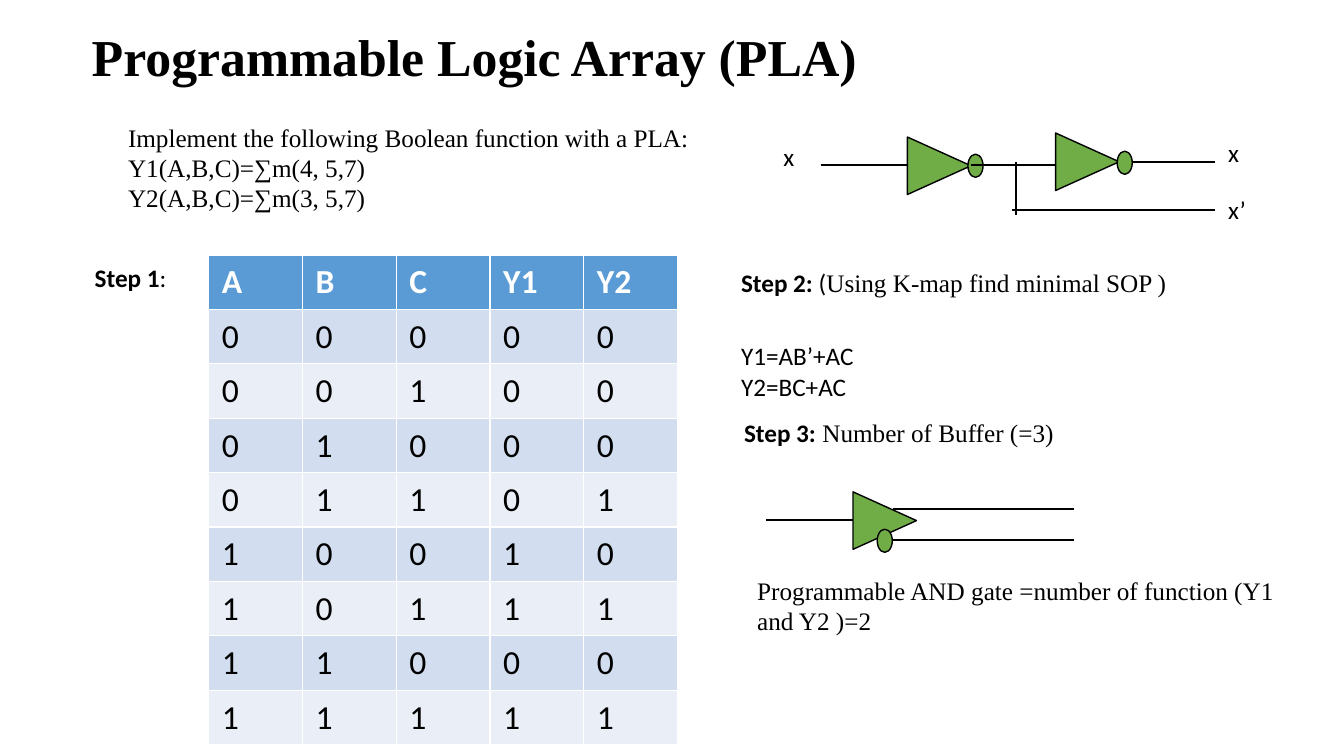
from dataclasses import dataclass

import pptx
import pptx.dml.color
import pptx.enum.shapes
import pptx.enum.text
import pptx.oxml.ns
import pptx.util
from lxml import etree

Inches = pptx.util.Inches
Shape = pptx.enum.shapes.MSO_SHAPE


@dataclass(frozen=True)
class Theme:
    serif: str = "Times New Roman"
    sans: str = "Calibri"
    ink: str = "000000"
    white: str = "FFFFFF"
    gate: str = "70AD47"
    header: str = "5B9BD5"
    bands: tuple = ("D2DEEF", "EAEFF7")
    title_size: int = 37
    body_size: int = 18
    table_size: int = 24
    outline: float = 1
    wire: float = 1.5
    inset_x: float = 0.13
    inset_y: float = 0.07


def rgb(value):
    return pptx.dml.color.RGBColor.from_string(value)


class Slide:
    def __init__(self, deck, theme):
        self.theme = theme
        self.page = deck.slides.add_slide(deck.slide_layouts[5])
        self.canvas = self.page.shapes

    def start_group(self):
        """Send the shapes that follow into a new group."""
        self.canvas = self.page.shapes.add_group_shape().shapes

    def end_group(self):
        self.canvas = self.page.shapes

    def set_font(self, font, name, size, colour, bold=False):
        font.name, font.size, font.bold = name, pptx.util.Pt(size), bold
        font.color.rgb = rgb(colour)

    def set_insets(self, holder):
        """Apply the common margins to a text frame or a table cell."""
        holder.margin_left = holder.margin_right = Inches(self.theme.inset_x)
        holder.margin_top = holder.margin_bottom = Inches(self.theme.inset_y)

    def title(self, text, left, top, width, height):
        box = self.page.shapes.title
        box.left, box.top = Inches(left), Inches(top)
        box.width, box.height = Inches(width), Inches(height)
        frame = box.text_frame
        frame.text = text
        frame.auto_size = pptx.enum.text.MSO_AUTO_SIZE.NONE
        frame.vertical_anchor = pptx.enum.text.MSO_ANCHOR.MIDDLE
        para = frame.paragraphs[0]
        para.alignment = pptx.enum.text.PP_ALIGN.LEFT
        self.set_font(para.font, self.theme.serif, self.theme.title_size, self.theme.ink, True)

    def text(self, lines, left, top, width, height, font=None, wrap=True):
        """Add a text box; each line is a string or a list of (text, font, bold) spans."""
        box = self.canvas.add_textbox(Inches(left), Inches(top), Inches(width), Inches(height))
        frame = box.text_frame
        frame.word_wrap = wrap
        frame.auto_size = pptx.enum.text.MSO_AUTO_SIZE.SHAPE_TO_FIT_TEXT
        self.set_insets(frame)
        for index, line in enumerate(lines):
            para = frame.add_paragraph() if index else frame.paragraphs[0]
            self.set_font(para.font, font or self.theme.sans, self.theme.body_size, self.theme.ink)
            if isinstance(line, str):
                para.text = line
                continue
            for text, name, bold in line:
                span = para.add_run()
                span.text, span.font.name, span.font.bold = text, name, bold

    def table(self, rows, left, top, width, height):
        theme = self.theme
        grid = self.canvas.add_table(len(rows), len(rows[0]), Inches(left), Inches(top),
                                     Inches(width), Inches(height)).table
        for row, values in enumerate(rows):
            fill = theme.bands[(row - 1) % 2] if row else theme.header
            colour = theme.ink if row else theme.white
            for column, value in enumerate(values):
                cell = grid.cell(row, column)
                cell.text = value
                cell.fill.solid()
                cell.fill.fore_color.rgb = rgb(fill)
                self.set_insets(cell)
                self.set_font(cell.text_frame.paragraphs[0].font, theme.sans,
                              theme.table_size, colour, row == 0)

    def gate_part(self, kind, left, top, width, height, rotation=0):
        part = self.canvas.add_shape(kind, Inches(left), Inches(top), Inches(width), Inches(height))
        part.rotation = rotation
        part.shadow.inherit = False
        part.fill.solid()
        part.fill.fore_color.rgb = rgb(self.theme.gate)
        part.line.color.rgb = rgb(self.theme.ink)
        part.line.width = pptx.util.Pt(self.theme.outline)

    def triangle(self, left, top):
        self.gate_part(Shape.ISOSCELES_TRIANGLE, left, top, 0.57, 0.63, rotation=90)

    def bubble(self, left, top):
        self.gate_part(Shape.OVAL, left, top, 0.15, 0.23)

    def wire(self, x1, y1, x2, y2):
        line = self.canvas.add_connector(pptx.enum.shapes.MSO_CONNECTOR.STRAIGHT,
                                         Inches(x1), Inches(y1), Inches(x2), Inches(y2))
        line.line.color.rgb = rgb(self.theme.ink)
        line.line.width = pptx.util.Pt(self.theme.wire)
        etree.SubElement(line._element.spPr, pptx.oxml.ns.qn("a:effectLst"))


def truth_table():
    """List A, B, C with the outputs Y1 = m(4, 5, 7) and Y2 = m(3, 5, 7)."""
    rows = [["A", "B", "C", "Y1", "Y2"]]
    for minterm in range(8):
        outputs = [str(int(minterm in terms)) for terms in ((4, 5, 7), (3, 5, 7))]
        rows.append(list(f"{minterm:03b}") + outputs)
    return rows


def main():
    theme = Theme()
    deck = pptx.Presentation()
    deck.slide_width, deck.slide_height = Inches(13.33), Inches(7.5)
    slide = Slide(deck, theme)
    serif, sans = theme.serif, theme.sans

    slide.title("Programmable Logic Array (PLA)", 0.81, 0.19, 11.86, 0.73)
    slide.text(["Implement the following Boolean function with a PLA:",
                "Y1(A,B,C)=∑m(4, 5,7)", "Y2(A,B,C)=∑m(3, 5,7)"],
               1.14, 1.14, 9.33, 1.06, font=serif)
    slide.text([[("Step 1", sans, True), (":", sans, False)]], 0.81, 2.53, 1.97, 0.45)
    slide.table(truth_table(), 2.07, 2.53, 4.65, 4.8)
    slide.text([[("Step 2:", sans, True), (" (", sans, False),
                 ("Using K-map find minimal SOP )", serif, False)]], 7.22, 2.58, 5.64, 0.45)
    slide.text(["Y1=AB’+AC", "Y2=BC+AC"], 7.22, 3.31, 3.2, 0.76)
    slide.text([[("Step 3:", sans, True), (" Number of Buffer (=3)", serif, False)]],
               7.25, 4.07, 3.43, 0.44, wrap=False)

    # Buffer symbol with true and complemented outputs
    slide.start_group()
    slide.triangle(8.49, 4.85)
    slide.bubble(8.7, 5.25)
    slide.wire(7.6, 5.16, 8.46, 5.16)
    slide.wire(8.85, 5.36, 10.65, 5.36)
    slide.wire(8.86, 5.05, 10.65, 5.05)
    slide.end_group()

    # Two inverters in series, tapped between them for x’
    slide.triangle(9.03, 1.33)
    slide.bubble(9.6, 1.53)
    slide.wire(8.14, 1.64, 9, 1.64)
    slide.wire(10.04, 2.08, 12.05, 2.08)
    slide.wire(9.63, 1.64, 10.53, 1.64)
    slide.triangle(10.5, 1.29)
    slide.wire(11.16, 1.61, 12.05, 1.61)
    slide.bubble(11.08, 1.5)
    slide.wire(10.08, 2.13, 10.08, 1.61)
    for label, left, top in (("x", 12.05, 1.29), ("x’", 12.05, 1.86), ("x", 7.64, 1.33)):
        slide.text([label], left, top, 0.5, 0.45)

    slide.text(["Programmable AND gate =number of function (Y1 and Y2 )=2"],
               7.38, 5.64, 5.48, 0.76, font=serif)
    deck.save("out.pptx")


if __name__ == "__main__":
    main()
